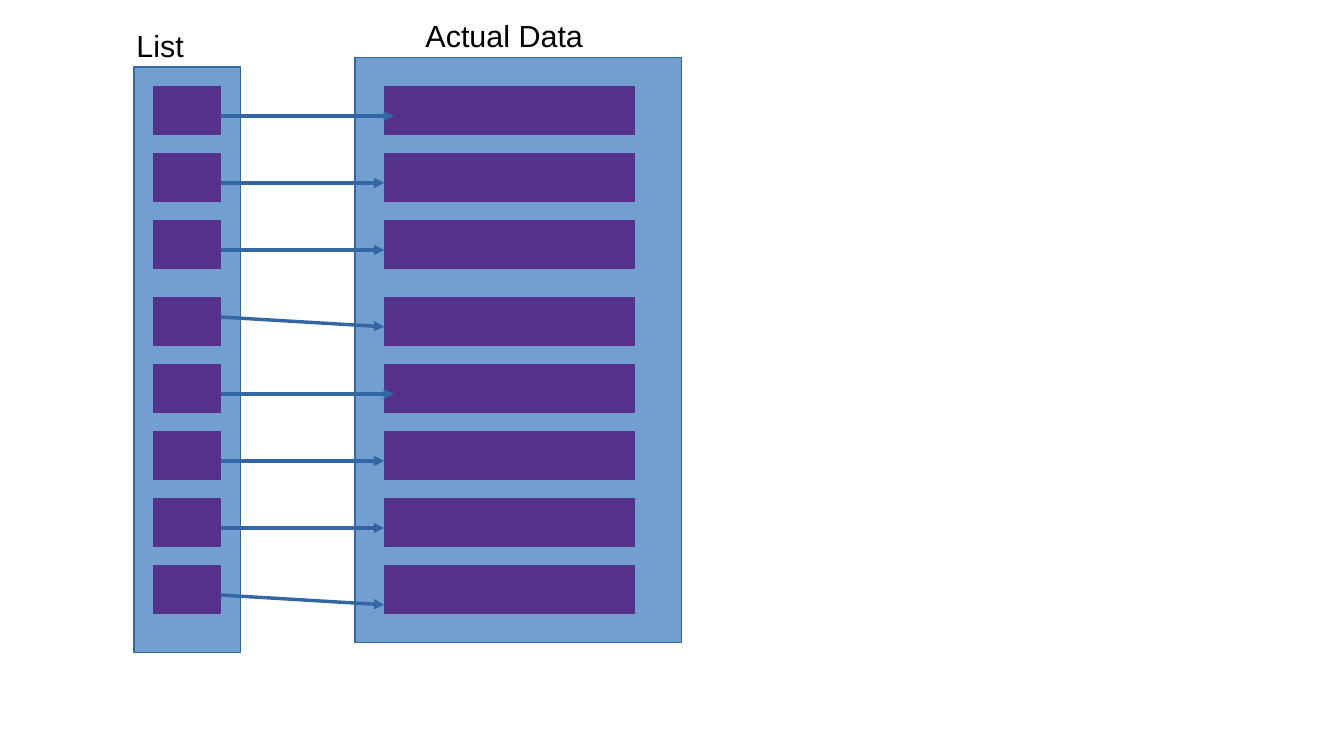
from dataclasses import dataclass

from lxml import etree
from pptx import Presentation
from pptx.dml.color import RGBColor
from pptx.enum.shapes import MSO_CONNECTOR, MSO_SHAPE
from pptx.enum.text import MSO_AUTO_SIZE
from pptx.oxml.ns import qn
from pptx.util import Inches, Pt

RECTANGLE = MSO_SHAPE.RECTANGLE
STRAIGHT = MSO_CONNECTOR.STRAIGHT
FIT_SHAPE = MSO_AUTO_SIZE.SHAPE_TO_FIT_TEXT


@dataclass(frozen=True)
class Theme:
    panel: RGBColor = RGBColor(0x72, 0x9F, 0xCF)
    outline: RGBColor = RGBColor(0x34, 0x65, 0xA4)
    cell: RGBColor = RGBColor(0x55, 0x30, 0x8D)
    text: RGBColor = RGBColor(0, 0, 0)
    font: str = "Arial"
    label_size: int = 18
    hairline: int = 0


THEME = Theme()

# Shared row grid: eight rows, with a wider gap after the third
ROW_COUNT, FIRST_ROW, ROW_PITCH = 8, 0.71, 0.55
ROW_HEIGHT, GROUP_START, GROUP_GAP = 0.39, 3, 0.08
ROW_TOPS = [FIRST_ROW + ROW_PITCH * row + GROUP_GAP * (row >= GROUP_START)
            for row in range(ROW_COUNT)]


def add_block(slide, box, fill, outline):
    block = slide.shapes.add_shape(RECTANGLE, *map(Inches, box))
    block.shadow.inherit = False
    block.fill.solid()
    block.fill.fore_color.rgb = fill
    block.line.color.rgb = outline
    block.line.width = Pt(THEME.hairline)


def add_label(slide, box, text, wrap):
    frame = slide.shapes.add_textbox(*map(Inches, box)).text_frame
    for name, value in {"word_wrap": wrap, "auto_size": FIT_SHAPE}.items():
        setattr(frame, name, value)
    run = frame.paragraphs[0].add_run()
    run.text = text
    font_format = {"name": THEME.font, "size": Pt(THEME.label_size)}
    for name, value in font_format.items():
        setattr(run.font, name, value)
    run.font.color.rgb = THEME.text


def add_column(slide, box, cell_inset, cell_width):
    """Place a panel and its row cells; the cells share the row grid."""
    add_block(slide, box, THEME.panel, THEME.outline)
    for top in ROW_TOPS:
        cell = (box[0] + cell_inset, top, cell_width, ROW_HEIGHT)
        add_block(slide, cell, THEME.cell, THEME.cell)


def add_arrow(slide, start, end):
    arrow = slide.shapes.add_connector(STRAIGHT, *map(Inches, start + end))
    arrow.line.color.rgb = THEME.outline
    arrow.line.width = Pt(THEME.hairline)
    line = arrow.line._get_or_add_ln()
    etree.SubElement(line, qn("a:tailEnd"), type="triangle")
    etree.SubElement(arrow._element.spPr, qn("a:effectLst"))


def add_references(slide, left, right):
    """Point each list cell at its data cell."""
    middle, nudge = 0.24, 0.08
    for row, top in enumerate(ROW_TOPS):
        # The first arrow of each four runs into its cell, the last one slopes
        overshoot = nudge if row % 4 == 0 else 0
        slope = nudge if row % 4 == 3 else 0
        start_y = top + middle - (GROUP_GAP if row == GROUP_START else 0)
        add_arrow(slide, (left, start_y), (right + overshoot, start_y + slope))


def build_memory_slide(presentation):
    slide = presentation.slides.add_slide(presentation.slide_layouts[6])

    # Data panel and list panel
    add_column(slide, (2.91, 0.47, 2.68, 4.8), 0.24, 2.05)
    add_column(slide, (1.1, 0.55, 0.87, 4.8), 0.16, 0.55)

    # Labels above the panels
    add_label(slide, (1.02, 0.17, 0.94, 0.38), "List", True)
    add_label(slide, (3.39, 0.09, 1.49, 0.38), "Actual Data", False)

    # Arrows from the list to the data
    add_references(slide, 1.81, 3.15)


def main():
    presentation = Presentation()
    presentation.slide_width = Inches(11.02)
    presentation.slide_height = Inches(6.2)
    build_memory_slide(presentation)
    presentation.save("out.pptx")


if __name__ == "__main__":
    main()
